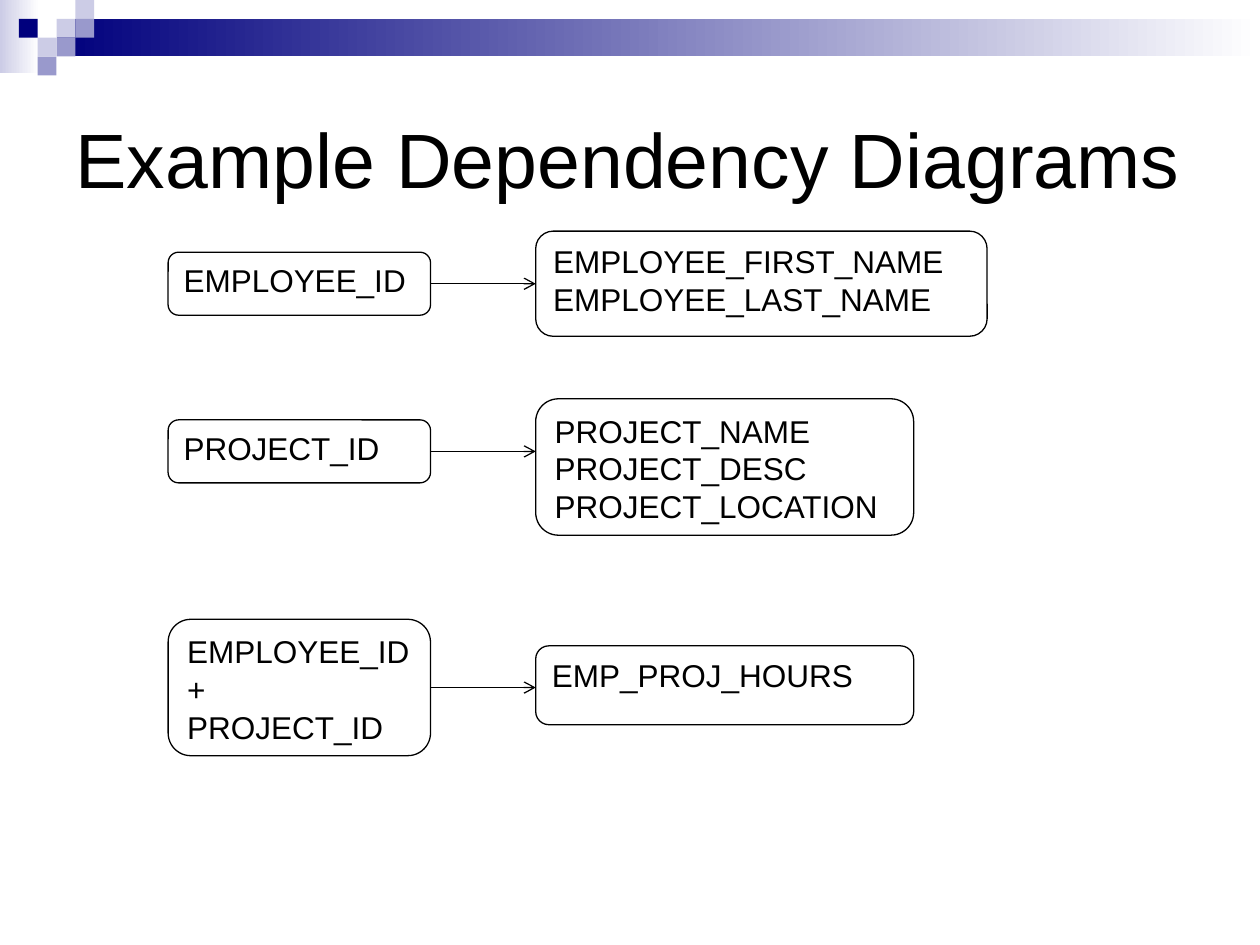
import pptx
import pptx.dml.color
import pptx.enum.shapes
import pptx.enum.text
import pptx.oxml
import pptx.oxml.ns
import pptx.util
from pptx.util import Cm

THEME = {
    "font": "Arial",
    "title_size": 44,
    "body_size": 18,
    "line_width": 0.75,
    "ink": "000000",
    "navy": "00007D",
    "violet": "9999CC",
    "lilac": "CCCCE6",
    "paper": "FFFFFF",
}

TITLE = "Example Dependency Diagrams"

DEPENDENCIES = [
    {
        "determinant": ["EMPLOYEE_ID"],
        "dependents": ["EMPLOYEE_FIRST_NAME", "EMPLOYEE_LAST_NAME"],
        "axis": 5.72, "determinant_height": 1.27,
        "dependent_top": 4.66, "dependent_size": (9.1, 2.12),
    },
    {
        "determinant": ["PROJECT_ID"],
        "dependents": ["PROJECT_NAME", "PROJECT_DESC", "PROJECT_LOCATION"],
        "axis": 9.1, "determinant_height": 1.27,
        "dependent_top": 8.04, "dependent_size": (7.62, 2.75),
    },
    {
        "determinant": ["EMPLOYEE_ID", "+", "PROJECT_ID"],
        "dependents": ["EMP_PROJ_HOURS"],
        "axis": 13.86, "determinant_height": 2.75,
        "dependent_top": 13.02, "dependent_size": (7.62, 1.59),
    },
]

SLIDE_WIDTH, SLIDE_HEIGHT = 25.4, 19.05
DETERMINANT_LEFT, DETERMINANT_WIDTH = 3.39, 5.29
DEPENDENT_LEFT = 10.8

CELL = 0.38
MOSAIC = [
    (3, 1, "lilac"), (4, 0, "lilac"), (4, 1, "violet"), (2, 1 + 1, "lilac"),
    (1, 1, "navy"), (3, 2, "violet"), (2, 3, "violet"),
]


def color(name):
    return pptx.dml.color.RGBColor.from_string(THEME[name])


def style_paragraph(paragraph, size_name):
    paragraph.alignment = pptx.enum.text.PP_ALIGN.LEFT
    paragraph.font.name = THEME["font"]
    paragraph.font.size = pptx.util.Pt(THEME[size_name])
    paragraph.font.color.rgb = color("ink")


def add_block(slide, left, top, width, height, *color_names):
    block = slide.shapes.add_shape(
        pptx.enum.shapes.MSO_SHAPE.RECTANGLE, Cm(left), Cm(top), Cm(width), Cm(height))
    block.shadow.inherit = False
    block.line.fill.background()
    if len(color_names) == 1:
        block.fill.solid()
        block.fill.fore_color.rgb = color(color_names[0])
    else:
        block.fill.gradient()
        block.fill.gradient_angle = 0
        for stop, name in zip(block.fill.gradient_stops, color_names):
            stop.color.rgb = color(name)


def add_banner(slide):
    add_block(slide, 0, 0, 0.79, 1.47, "lilac", "paper")
    bar_left = 3 * CELL
    add_block(slide, bar_left, CELL, SLIDE_WIDTH - bar_left, 2 * CELL, "navy", "paper")
    for column, row, name in MOSAIC:
        add_block(slide, column * CELL, row * CELL, CELL, CELL, name)


def add_title(slide):
    title = slide.shapes.title
    title.element.getparent().append(title.element)
    title.left, title.top, title.width, title.height = Cm(1.27), Cm(1.27), Cm(22.86), Cm(3.81)
    frame = title.text_frame
    frame.text = TITLE
    frame.auto_size = pptx.enum.text.MSO_AUTO_SIZE.NONE
    frame.vertical_anchor = pptx.enum.text.MSO_ANCHOR.MIDDLE
    style_paragraph(frame.paragraphs[0], "title_size")


def add_attribute_box(slide, attributes, left, top, width, height):
    box = slide.shapes.add_shape(
        pptx.enum.shapes.MSO_SHAPE.ROUNDED_RECTANGLE, Cm(left), Cm(top), Cm(width), Cm(height))
    box.shadow.inherit = False
    box.fill.background()
    box.line.color.rgb = color("ink")
    box.line.width = pptx.util.Pt(THEME["line_width"])
    frame = box.text_frame
    frame.margin_right = 0
    frame.vertical_anchor = pptx.enum.text.MSO_ANCHOR.TOP
    frame.text = "\n".join(attributes)
    for paragraph in frame.paragraphs:
        style_paragraph(paragraph, "body_size")
    return box


def add_arrow(slide, determinant, dependent, axis):
    arrow = slide.shapes.add_connector(
        pptx.enum.shapes.MSO_CONNECTOR.STRAIGHT,
        Cm(DETERMINANT_LEFT + DETERMINANT_WIDTH), Cm(axis), Cm(DEPENDENT_LEFT), Cm(axis))
    arrow.begin_connect(determinant, 3)
    if abs(dependent.top + dependent.height / 2 - Cm(axis)) < Cm(0.01):
        arrow.end_connect(dependent, 1)
    arrow.line.color.rgb = color("ink")
    arrow.line.width = pptx.util.Pt(THEME["line_width"])
    namespace = pptx.oxml.ns.nsdecls("a")
    arrow.line._get_or_add_ln().append(
        pptx.oxml.parse_xml(f'<a:tailEnd {namespace} type="arrow"/>'))
    arrow.element.spPr.append(pptx.oxml.parse_xml(f"<a:effectLst {namespace}/>"))


def add_dependency(slide, dependency):
    axis, height = dependency["axis"], dependency["determinant_height"]
    determinant = add_attribute_box(
        slide, dependency["determinant"],
        DETERMINANT_LEFT, axis - height / 2, DETERMINANT_WIDTH, height)
    dependent = add_attribute_box(
        slide, dependency["dependents"],
        DEPENDENT_LEFT, dependency["dependent_top"], *dependency["dependent_size"])
    add_arrow(slide, determinant, dependent, axis)


def main():
    presentation = pptx.Presentation()
    presentation.slide_width, presentation.slide_height = Cm(SLIDE_WIDTH), Cm(SLIDE_HEIGHT)
    slide = presentation.slides.add_slide(presentation.slide_layouts.get_by_name("Title Only"))
    add_banner(slide)
    add_title(slide)
    for dependency in DEPENDENCIES:
        add_dependency(slide, dependency)
    presentation.save("out.pptx")


if __name__ == "__main__":
    main()
